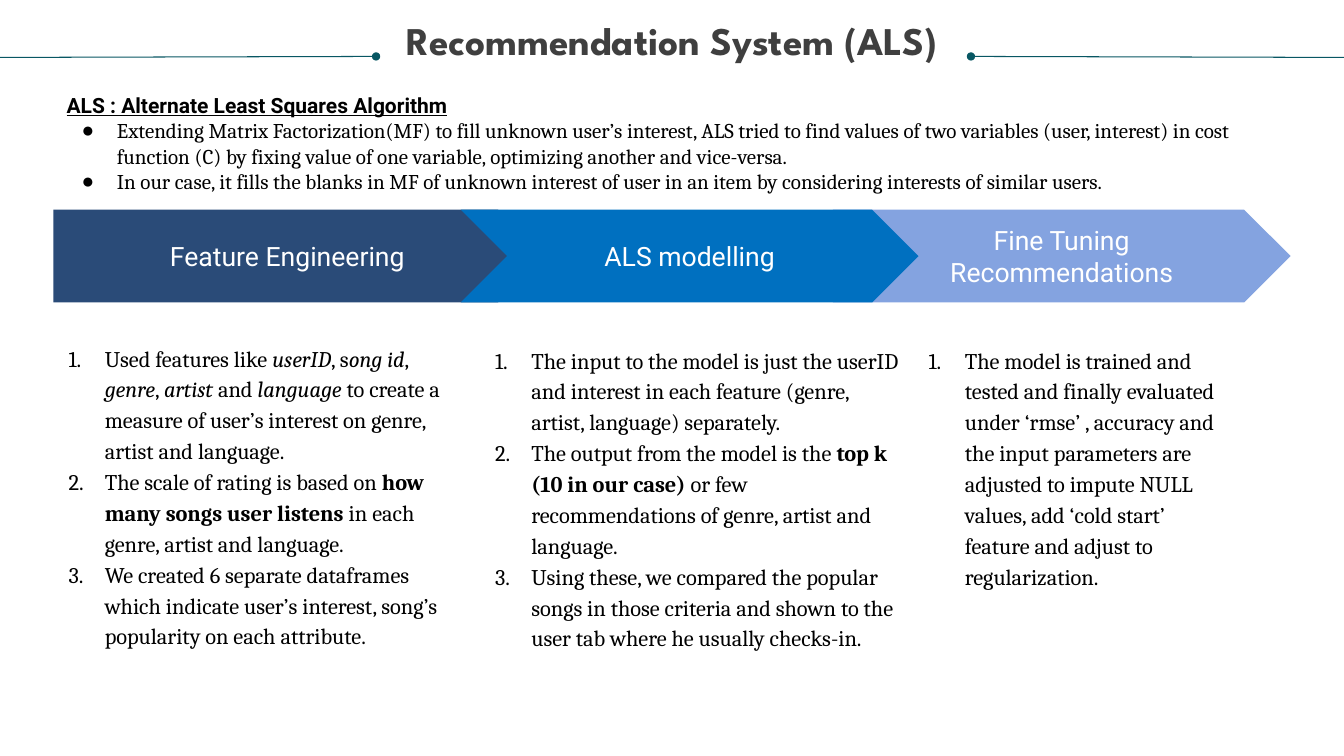
"""Builds the slide on the ALS recommendation system."""
from lxml.etree import SubElement
from pptx import Presentation
from pptx.dml.color import RGBColor
from pptx.enum.shapes import MSO_CONNECTOR as CONNECTOR, MSO_SHAPE as SHAPE
from pptx.enum.text import MSO_ANCHOR as ANCHOR, MSO_AUTO_SIZE as FIT, PP_ALIGN as ALIGN
from pptx.oxml.ns import qn
from pptx.util import Inches, Pt

COLORS = {"title": "3F3F3F", "text": "000000", "white": "FFFFFF", "rule": "085763",
          "features": "2A4B78", "modelling": "0070C0", "tuning": "84A3E0"}
FONTS = {"title": "League Spartan", "label": "Roboto", "body": "Cambria"}


class SlideBuilder:
    def __init__(self, slide):
        self.slide = slide

    def color(self, name):
        return RGBColor.from_string(COLORS[name])

    def style(self, paragraph, font, size, color, bold=False, underline=False):
        face = paragraph.font
        face.name, face.size = FONTS[font], Pt(size)
        face.bold, face.underline = bold, underline
        face.color.rgb = self.color(color)

    def frame(self, shape, inset, anchor):
        frame = shape.text_frame
        frame.word_wrap, frame.auto_size = True, FIT.NONE
        frame.vertical_anchor = anchor
        frame.margin_left = frame.margin_right = Inches(inset)
        frame.margin_top = frame.margin_bottom = Inches(inset)
        return frame

    def placeholder(self, index, box, inset):
        holder = self.slide.placeholders[index]
        holder.left, holder.top, holder.width, holder.height = map(Inches, box)
        return self.frame(holder, inset, ANCHOR.TOP)

    def title(self, text, box):
        heading = self.placeholder(0, box, 0).paragraphs[0]
        heading.text = text
        heading.alignment, heading.line_spacing = ALIGN.CENTER, 0.9
        self.style(heading, "title", 28, "title", bold=True)

    def item(self, paragraph, text, size, spacing, hanging, bullet, emphasis="bold"):
        for position, part in enumerate(text.split("|")):
            run = paragraph.add_run()
            run.text = part
            if position % 2:
                setattr(run.font, emphasis, True)
        paragraph.line_spacing, paragraph.space_before = spacing, Pt(0)
        properties = paragraph._p.get_or_add_pPr()
        properties.set("marL", str(Inches(0.5)))
        properties.set("indent", str(-Inches(hanging)))
        tag, attribute, value = bullet
        SubElement(properties, qn(tag)).set(attribute, value)
        self.style(paragraph, "body", size, "text")

    def intro(self, index, box, heading, points):
        frame = self.placeholder(index, box, 0.1)
        opening = frame.paragraphs[0]
        opening.text, opening.space_before = heading, Pt(0)
        self.style(opening, "label", 15, "text", bold=True, underline=True)
        for point in points:
            self.item(frame.add_paragraph(), point, 15, 1.0, 0.35, ("a:buChar", "char", "●"))

    def steps(self, index, box, steps):
        frame = self.placeholder(index, box, 0.13)
        for number, (text, emphasis) in enumerate(steps):
            paragraph = frame.add_paragraph() if number else frame.paragraphs[0]
            self.item(paragraph, text, 16, 1.15, 0.36,
                      ("a:buAutoNum", "type", "arabicPeriod"), emphasis)

    def stage(self, kind, left, width, fill, text):
        arrow = self.slide.shapes.add_shape(
            kind, Inches(left), Inches(2.08), Inches(width), Inches(0.92))
        arrow.shadow.inherit = False
        arrow.fill.solid()
        arrow.fill.fore_color.rgb = self.color(fill)
        arrow.line.fill.background()
        label = self.frame(arrow, 0.13, ANCHOR.MIDDLE).paragraphs[0]
        label.text, label.alignment = text, ALIGN.CENTER
        self.style(label, "label", 19, "white")

    def rule(self, outer, inner):
        rule = self.slide.shapes.add_connector(
            CONNECTOR.STRAIGHT, Inches(outer), Inches(0.57), Inches(inner), Inches(0.56))
        rule.line.width = Pt(0.75)
        rule.line.color.rgb = self.color("rule")
        SubElement(rule.line._get_or_add_ln(), qn("a:tailEnd")).set("type", "oval")
        SubElement(rule._element.spPr, qn("a:effectLst"))


deck = Presentation()
deck.slide_width, deck.slide_height = Inches(13.33), Inches(7.5)
builder = SlideBuilder(deck.slides.add_slide(deck.slide_layouts.get_by_name("Comparison")))

builder.title("Recommendation System (ALS)", (0.25, 0.21, 12.83, 0.85))
for outer, inner in ((0, 3.73), (13.33, 9.63)):
    builder.rule(outer, inner)

builder.intro(1, (0.56, 0.82, 12.3, 1.11), "ALS : Alternate Least Squares Algorithm", (
    "Extending Matrix Factorization(MF) to fill unknown user’s interest, ALS tried to find "
    "values of two variables (user, interest) in cost function (C) by fixing value of one "
    "variable, optimizing another and vice-versa.",
    "In our case, it fills the blanks in MF of unknown interest of user in an item by "
    "considering interests of similar users."))

STAGES = (
    (SHAPE.CHEVRON, 8.26, 4.54, "tuning", "Fine Tuning Recommendations"),
    (SHAPE.PENTAGON, 0.53, 4.87, "features", "Feature Engineering"),
    (SHAPE.CHEVRON, 4.57, 4.54, "modelling", "ALS modelling"),
)
for stage in STAGES:
    builder.stage(*stage)

COLUMNS = (
    ((0.41, 3.25, 4.24, 3.61), (
        ("Used features like |userID|, s|ong id|, |genre|, |artist| and |language| to create "
         "a measure of user’s interest on genre, artist and language.", "italic"),
        ("The scale of rating is based on |how many songs user listens| in each genre, "
         "artist and language.", "bold"),
        ("We created 6 separate dataframes which indicate user’s interest, song’s "
         "popularity on each attribute.", "bold"))),
    ((4.64, 3.27, 4.47, 3.59), (
        ("The input to the model is just the userID and interest in each feature (genre, "
         "artist, language) separately.", "bold"),
        ("The output from the model is the |top k (10 in our case)| or few recommendations "
         "of genre, artist and language.", "bold"),
        ("Using these, we compared the popular songs in those criteria and shown to the "
         "user tab where he usually checks-in.", "bold"))),
    ((8.94, 3.27, 3.43, 3.59), (
        ("The model is trained and tested and finally evaluated under ‘rmse’ , accuracy and "
         "the input parameters are adjusted to impute NULL values, add ‘cold start’ feature "
         "and adjust to regularization.", "bold"),)),
)
for index, (box, steps) in enumerate(COLUMNS, start=2):
    builder.steps(index, box, steps)

deck.save("out.pptx")
